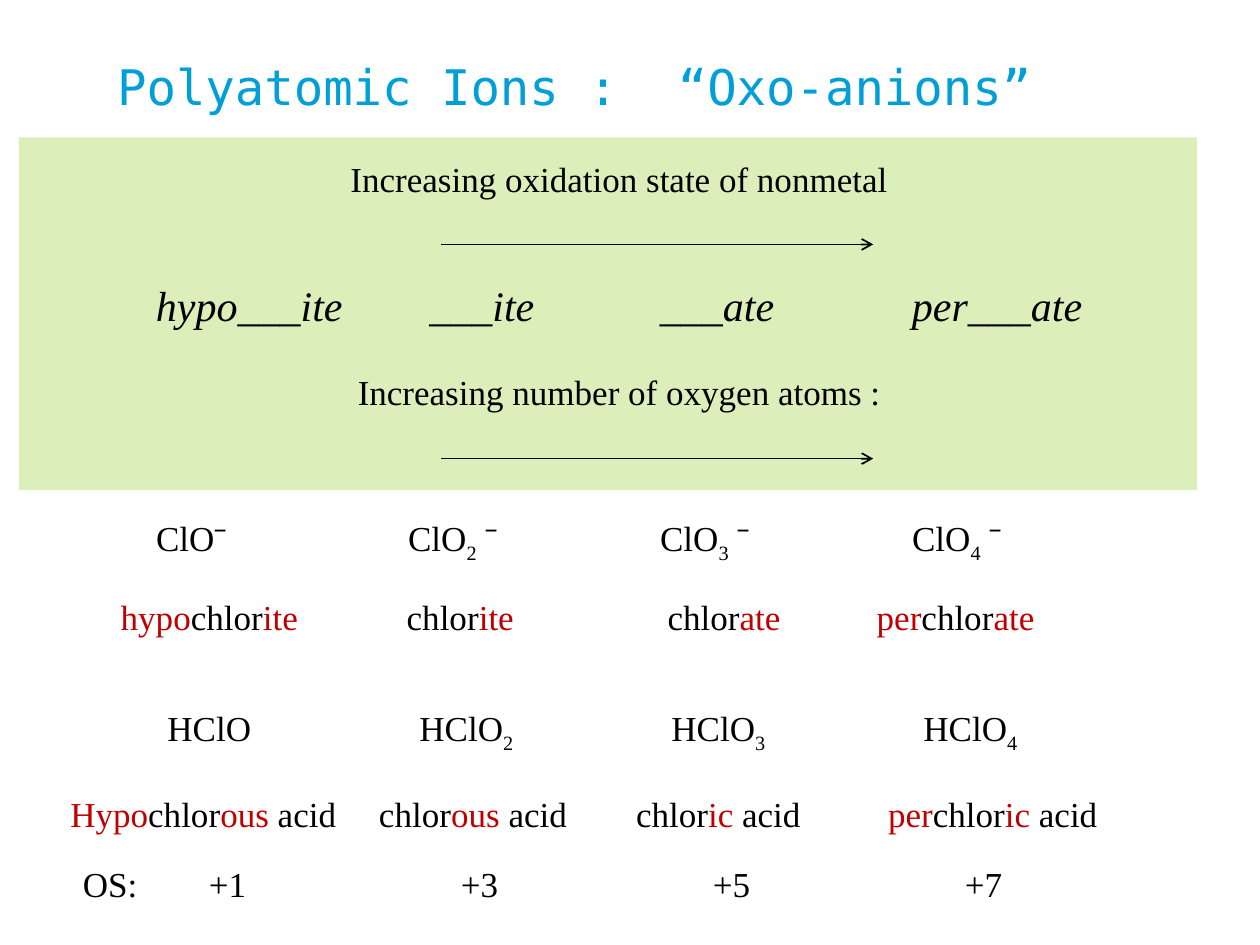
from lxml.etree import SubElement
from pptx import Presentation
from pptx.dml.color import RGBColor
from pptx.enum.shapes import MSO_CONNECTOR as Connector, MSO_SHAPE as Shape
from pptx.enum.text import MSO_ANCHOR as Anchor, PP_ALIGN as Align
from pptx.oxml.ns import qn
from pptx.util import Inches, Pt

BLACK = RGBColor(0x00, 0x00, 0x00)
BLUE = RGBColor(0x00, 0x9F, 0xD8)
CRIMSON = RGBColor(0xC0, 0x00, 0x00)
PALE_GREEN = RGBColor(0xDC, 0xEE, 0xBA)

AFFIX = {"color": CRIMSON}
SUB = {"baseline": -25000}


def add_span(para, text, font="Times New Roman", size=20, color=BLACK,
             italic=False, baseline=None):
    span = para.add_run()
    span.text = text
    span.font.name = font
    span.font.size = Pt(size)
    span.font.color.rgb = color
    span.font.italic = italic
    if baseline:
        span.font._element.set("baseline", str(baseline))


def set_tabs(para, stops):
    tab_list = SubElement(para._p.get_or_add_pPr(), qn("a:tabLst"))
    for stop in stops:
        SubElement(tab_list, qn("a:tab"), pos=str(Inches(stop)), algn="l")


class IonSlide:
    def __init__(self, deck):
        self.page = deck.slides.add_slide(deck.slide_layouts[5])

    def title(self, text, left, top, width, height, stops):
        box = self.page.shapes.title
        box.left, box.top = Inches(left), Inches(top)
        box.width, box.height = Inches(width), Inches(height)
        box.text_frame.vertical_anchor = Anchor.MIDDLE
        para = box.text_frame.paragraphs[0]
        para.alignment = Align.LEFT
        set_tabs(para, stops)
        add_span(para, text, font="DejaVu Sans Mono", size=28, color=BLUE)

    def panel(self, left, top, width, height):
        shape = self.page.shapes.add_shape(
            Shape.RECTANGLE, Inches(left), Inches(top), Inches(width), Inches(height))
        shape.shadow.inherit = False
        shape.fill.solid()
        shape.fill.fore_color.rgb = PALE_GREEN
        shape.line.fill.background()

    def text_frame(self, left, top, width, height):
        box = self.page.shapes.add_textbox(
            Inches(left), Inches(top), Inches(width), Inches(height))
        box.text_frame.word_wrap = True
        return box.text_frame

    def row(self, left, top, width, height, stops, parts):
        para = self.text_frame(left, top, width, height).paragraphs[0]
        set_tabs(para, stops)
        for part in parts:
            text, style = (part, {}) if isinstance(part, str) else part
            add_span(para, text, **style)

    def trends(self, left, top, width, height, heading, pattern, stops, footing):
        frame = self.text_frame(left, top, width, height)
        para = frame.paragraphs[0]
        para.alignment = Align.CENTER
        add_span(para, heading)
        para = frame.add_paragraph()
        para.space_before = Pt(46)
        set_tabs(para, stops)
        add_span(para, pattern, size=24, italic=True)
        para = frame.add_paragraph()
        para.alignment = Align.CENTER
        para.space_before = Pt(23)
        add_span(para, footing)

    def arrow(self, left, right, top):
        line = self.page.shapes.add_connector(
            Connector.STRAIGHT, Inches(left), Inches(top), Inches(right), Inches(top))
        line.line.color.rgb = BLACK
        line.line.width = Pt(1)
        SubElement(line.line._get_or_add_ln(), qn("a:tailEnd"), type="arrow")
        SubElement(line._element.spPr, qn("a:effectLst"))


def main():
    deck = Presentation()
    deck.slide_width, deck.slide_height = Inches(10), Inches(7.5)
    slide = IonSlide(deck)

    slide.title("Polyatomic Ions :\t“Oxo-anions”", 0.83, 0.35, 8.5, 0.67, [4.45])
    slide.panel(0.15, 1.09, 9.35, 2.8)
    slide.trends(0.33, 1.2, 9.17, 2.17,
                 "Increasing oxidation state of nonmetal",
                 "\thypo___ite\t___ite\t___ate\tper___ate", [0.81, 2.98, 4.81, 6.81],
                 "Increasing number of oxygen atoms :")
    for top in (1.94, 3.64):
        slide.arrow(3.5, 6.93, top)

    columns = [2, 4, 6]
    slide.row(1.14, 4.05, 7.65, 0.48, columns, [
        "ClOˉ\tClO", ("2", SUB), " ˉ\tClO", ("3", SUB), " ˉ\tClO", ("4", SUB), " ˉ"])
    slide.row(0.86, 4.68, 8.36, 0.44, [2.27, 4.34, 6], [
        ("hypo", AFFIX), "chlor", ("ite", AFFIX), "\tchlor", ("ite", AFFIX),
        "\tchlor", ("ate\tper", AFFIX), "chlor", ("ate", AFFIX)])
    slide.row(1.23, 5.56, 7.65, 0.48, columns, [
        "HClO\tHClO", ("2", SUB), "\tHClO", ("3", SUB), "\tHClO", ("4", SUB)])
    slide.row(0.46, 6.24, 8.77, 0.44, [2.45, 4.49, 6.49], [
        ("Hypo", AFFIX), "chlor", ("ous", AFFIX), " acid\tchlor", ("ous", AFFIX),
        " acid\tchlor", ("ic", AFFIX), " acid\t", ("per", AFFIX), "chlor",
        ("ic", AFFIX), " acid"])
    slide.row(0.56, 6.8, 8.47, 0.44, [1, 3, 5, 7], ["OS:\t+1\t+3\t+5\t+7"])

    deck.save("out.pptx")


if __name__ == "__main__":
    main()
